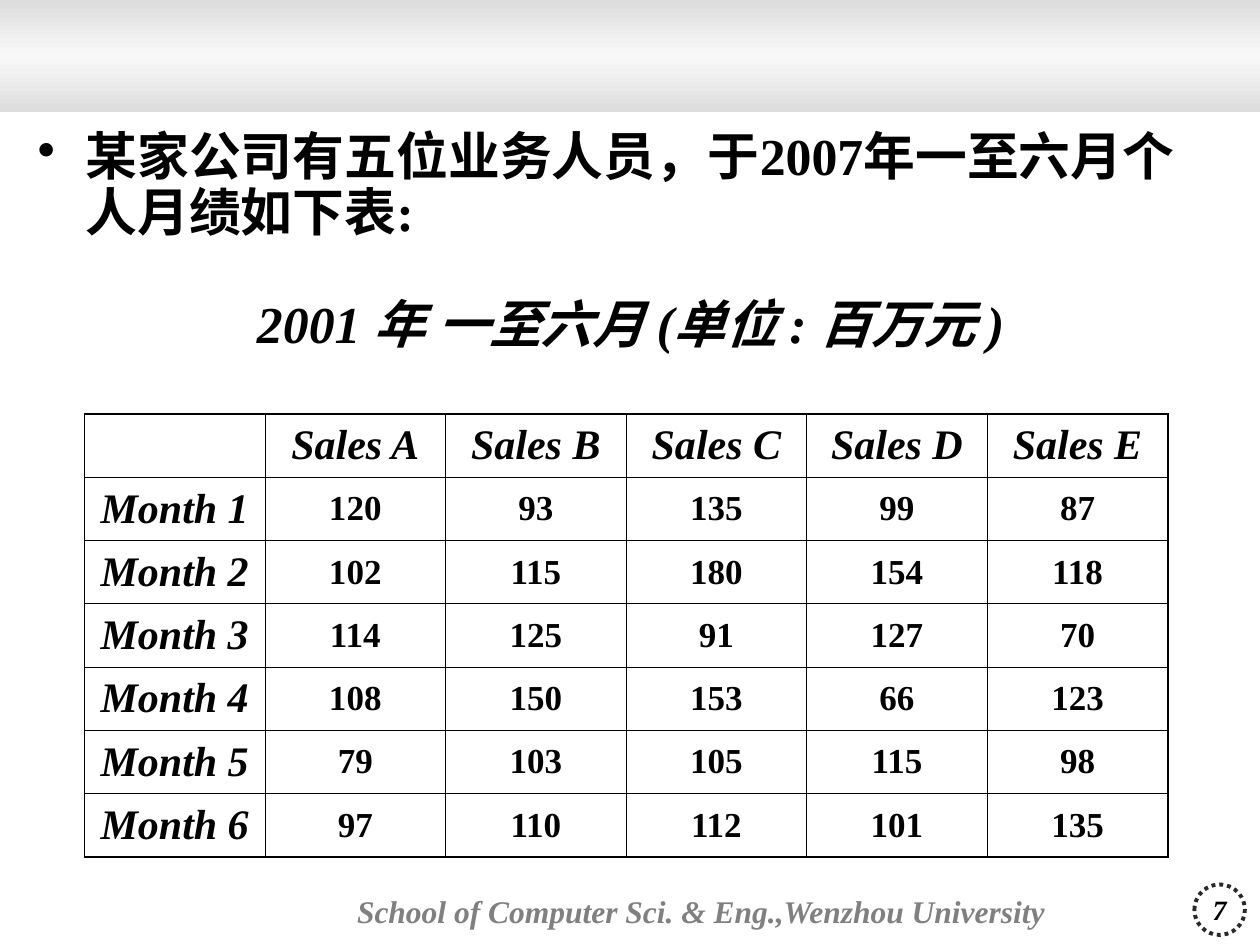
from dataclasses import dataclass

from lxml import etree
from pptx import Presentation
from pptx.dml.color import RGBColor
from pptx.enum.dml import MSO_LINE
from pptx.enum.lang import MSO_LANGUAGE_ID
from pptx.enum.shapes import MSO_SHAPE
from pptx.enum.text import MSO_ANCHOR, PP_ALIGN
from pptx.oxml.ns import qn
from pptx.util import Emu, Inches, Pt

RECTANGLE, ROUNDED, OVAL = MSO_SHAPE.RECTANGLE, MSO_SHAPE.ROUNDED_RECTANGLE, MSO_SHAPE.OVAL
LEFT, CENTER = PP_ALIGN.LEFT, PP_ALIGN.CENTER
MIDDLE = MSO_ANCHOR.MIDDLE
DOTTED = MSO_LINE.ROUND_DOT
CHINESE = MSO_LANGUAGE_ID.SIMPLIFIED_CHINESE

WIDTH, HEIGHT = Inches(10), Inches(7.5)
FONT = "Times New Roman"
BLACK, GRAY = "000000", "808080"
INNER_LINE, OUTER_LINE = 0.45, 1.08
HEADERS = ["", *(f"Sales {letter}" for letter in "ABCDE")]
SALES = [
    [120, 93, 135, 99, 87],
    [102, 115, 180, 154, 118],
    [114, 125, 91, 127, 70],
    [108, 150, 153, 66, 123],
    [79, 103, 105, 115, 98],
    [97, 110, 112, 101, 135],
]


@dataclass(frozen=True)
class Area:
    """A place given as percentages of the slide's width and height."""
    left: float
    top: float
    width: float
    height: float

    def lengths(self) -> tuple:
        return (Emu(round(WIDTH * self.left / 100)), Emu(round(HEIGHT * self.top / 100)),
                Emu(round(WIDTH * self.width / 100)), Emu(round(HEIGHT * self.height / 100)))


@dataclass(frozen=True)
class Style:
    size: float
    color: str = BLACK
    italic: bool = True


HEADING = Style(24)
NUMBER = Style(20, italic=False)


def rgb(color: str) -> RGBColor:
    return RGBColor.from_string(color)


def add_run(para, text: str, style: Style):
    span = para.add_run()
    span.text = text
    font = span.font
    font.name, font.size, font.bold, font.italic = FONT, Pt(style.size), True, style.italic
    font.color.rgb = rgb(style.color)
    return span


def add_plain_shape(page, kind, area: Area):
    shape = page.shapes.add_shape(kind, *area.lengths())
    shape.shadow.inherit = False
    shape.fill.background()
    shape.line.fill.background()
    return shape


def add_header_band(page) -> None:
    band = add_plain_shape(page, RECTANGLE, Area(0, 0, 100, 11.87))
    band.fill.gradient()
    band.fill.gradient_angle = 270
    stop_list = band.fill._xPr.find(qn("a:gradFill")).find(qn("a:gsLst"))
    for stop in list(stop_list):
        stop_list.remove(stop)
    for percent, color in ((0, "DDDDDD"), (50, "F8F8F8"), (100, "DDDDDD")):
        stop = etree.SubElement(stop_list, qn("a:gs"), pos=str(percent * 1000))
        etree.SubElement(stop, qn("a:srgbClr"), val=color)


def add_label(shape, text: str, style: Style, align) -> None:
    frame = shape.text_frame
    frame.vertical_anchor = MIDDLE
    para = frame.paragraphs[0]
    para.alignment = align
    add_run(para, text, style)


def add_footer(page) -> None:
    footer = add_plain_shape(page, ROUNDED, Area(27.8, 92, 59.9, 8.8))
    footer.adjustments[0] = 0.02
    frame = footer.text_frame
    frame.word_wrap = True
    frame.margin_left = frame.margin_right = Inches(0.05)
    frame.margin_top = frame.margin_bottom = Inches(0.02)
    add_label(footer, "School of Computer Sci. & Eng.,Wenzhou University", Style(18, GRAY), LEFT)

    circle = add_plain_shape(page, OVAL, Area(94.8, 93.6, 4, 5.33))
    circle.line.color.rgb = rgb("292929")
    circle.line.width = Pt(2.25)
    circle.line.dash_style = DOTTED
    circle.text_frame.word_wrap = False
    add_label(circle, "7", Style(16), CENTER)


def set_borders(cell, widths: dict[str, float]) -> None:
    properties = cell._tc.get_or_add_tcPr()
    for index, side in enumerate("LRTB"):
        line = etree.Element(qn(f"a:ln{side}"), w=str(Pt(widths[side])))
        fill = etree.SubElement(line, qn("a:solidFill"))
        etree.SubElement(fill, qn("a:srgbClr"), val=BLACK)
        properties.insert(index, line)


def add_sales_table(page) -> None:
    rows = [HEADERS] + [[f"Month {month}", *values] for month, values in enumerate(SALES, 1)]
    last_row, last_column = len(rows) - 1, len(HEADERS) - 1
    table = page.shapes.add_table(len(rows), len(HEADERS),
                                  *Area(6.7, 43.8, 86, 46.9).lengths()).table
    table.first_row = table.horz_banding = False
    for row, values in enumerate(rows):
        for column, value in enumerate(values):
            cell = table.cell(row, column)
            cell.fill.background()
            cell.vertical_anchor = MIDDLE
            outer = {"L": column == 0, "R": column == last_column,
                     "T": row == 0, "B": row == last_row}
            set_borders(cell, {side: OUTER_LINE if edge else INNER_LINE
                               for side, edge in outer.items()})
            if value:
                para = cell.text_frame.paragraphs[0]
                para.alignment = CENTER
                add_run(para, str(value), HEADING if row == 0 or column == 0 else NUMBER)


def add_introduction(page) -> None:
    box = page.shapes.add_textbox(*Area(2, 13.2, 96.1, 28.4).lengths())
    frame = box.text_frame
    frame.word_wrap = True
    intro, caption = frame.paragraphs[0], frame.add_paragraph()
    for para in (intro, caption):
        para.line_spacing = 0.9
        properties = para._p.get_or_add_pPr()
        properties.set("marL", str(Inches(0.38)))
        properties.set("indent", str(-Inches(0.38)))
    bullet_color = etree.SubElement(intro._p.pPr, qn("a:buClr"))
    etree.SubElement(bullet_color, qn("a:srgbClr"), val=BLACK)
    etree.SubElement(intro._p.pPr, qn("a:buChar"), char="•")
    caption.alignment = CENTER
    caption.space_before = Pt(32)
    for para, text, italic in (
        (intro, "某家公司有五位业务人员，于2007年一至六月个人月绩如下表:", False),
        (caption, "2001 年 一至六月 (单位 : 百万元 )", True),
    ):
        add_run(para, text, Style(29.6, italic=italic)).font.language_id = CHINESE


def main() -> None:
    deck = Presentation()
    deck.slide_width, deck.slide_height = WIDTH, HEIGHT
    page = deck.slides.add_slide(deck.slide_layouts[6])
    add_header_band(page)
    add_footer(page)
    add_sales_table(page)
    add_introduction(page)
    deck.save("out.pptx")


if __name__ == "__main__":
    main()
